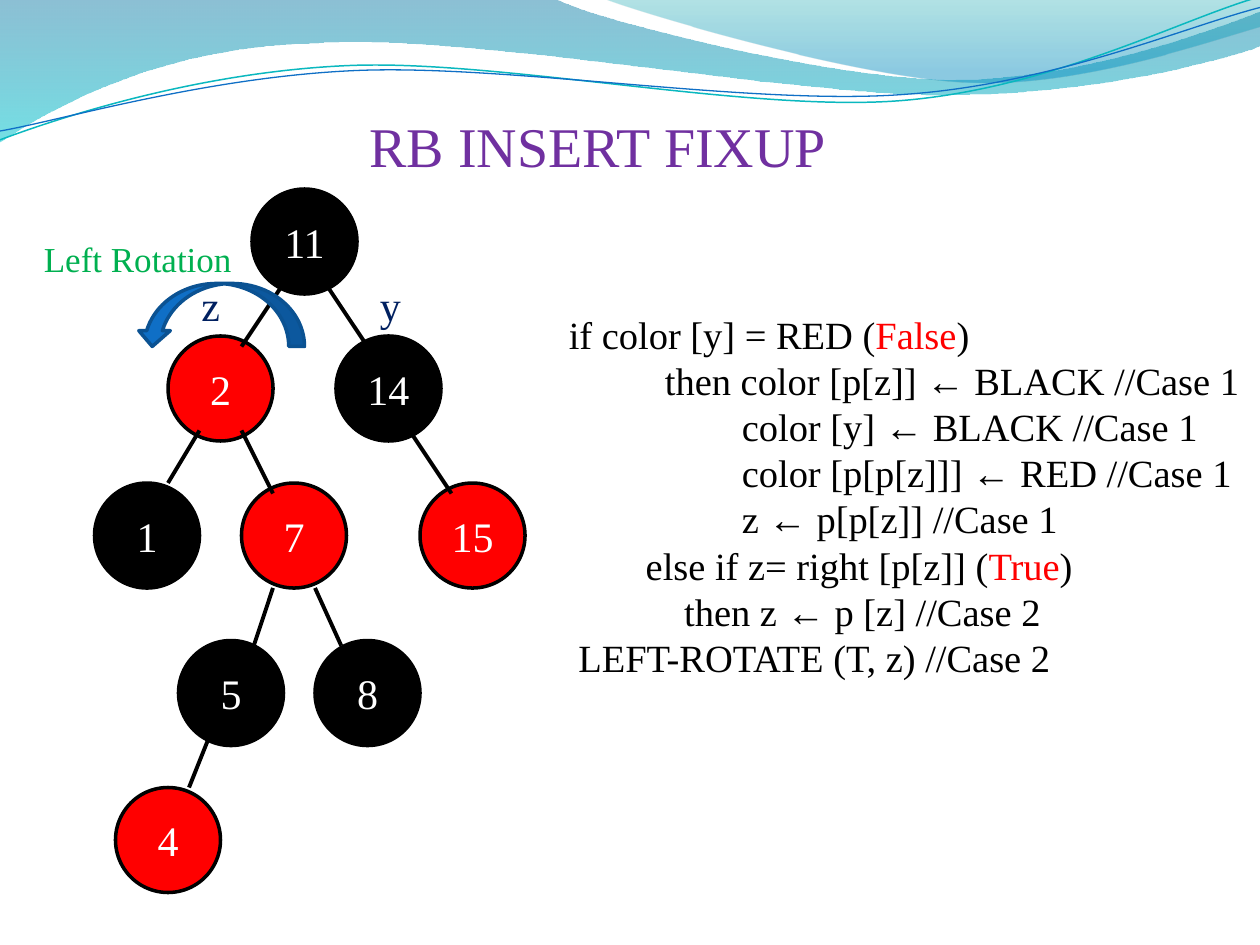
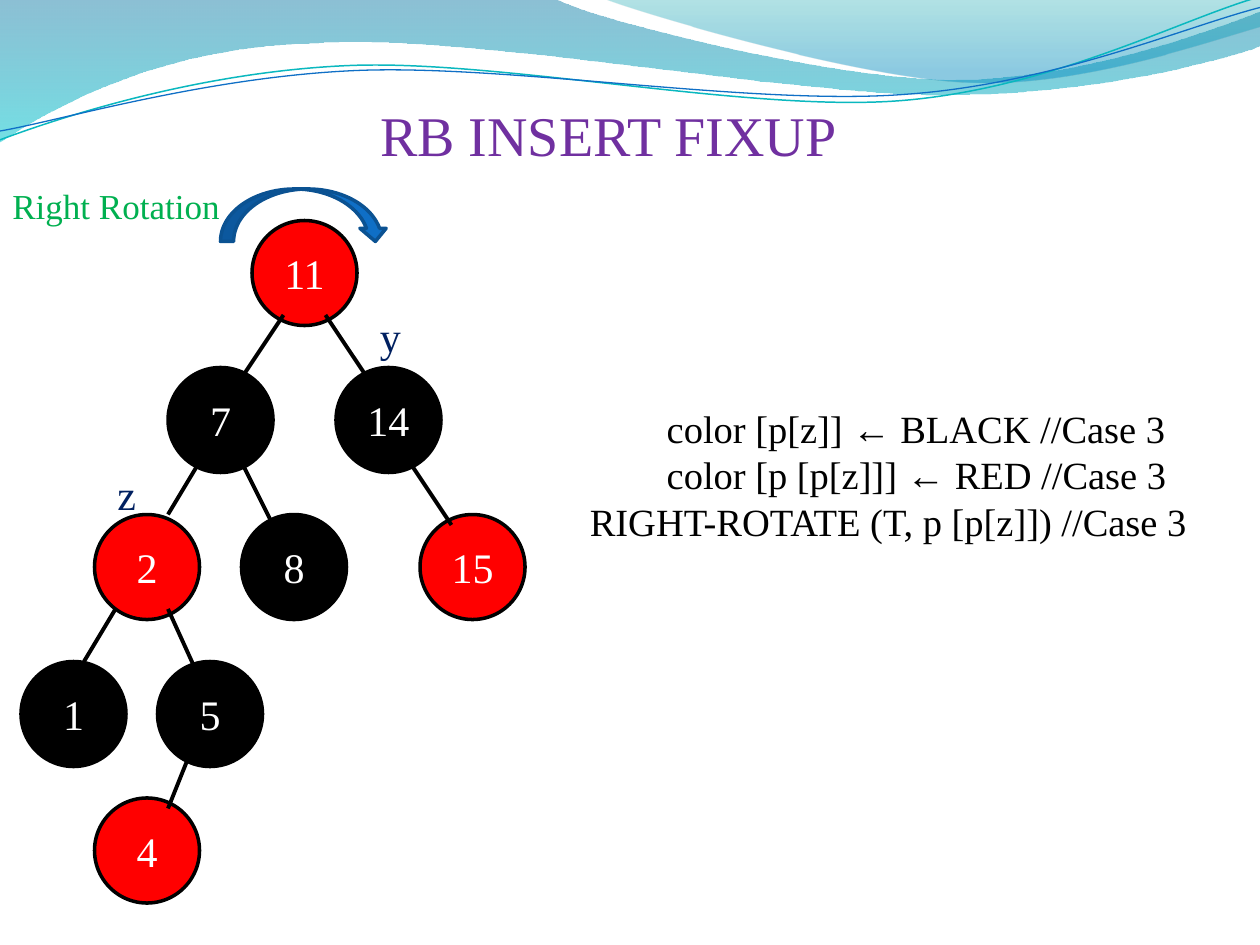
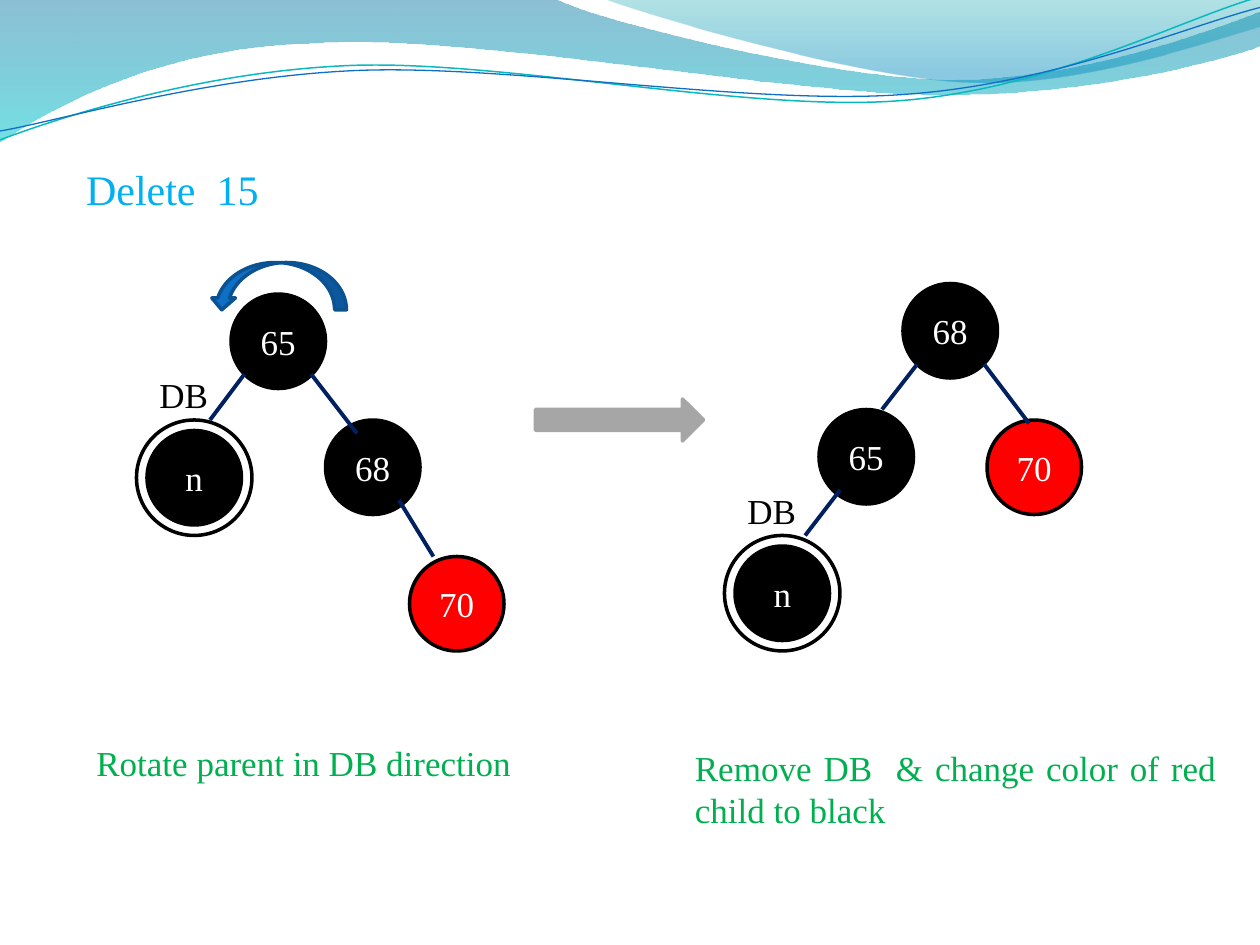
from math import cos, radians, sin
from lxml.etree import SubElement
from pptx import Presentation
from pptx.dml.color import RGBColor
from pptx.enum.shapes import MSO_CONNECTOR as Link, MSO_SHAPE as Kind
from pptx.enum.text import MSO_ANCHOR as Anchor, MSO_AUTO_SIZE as Fit, PP_ALIGN as Align
from pptx.oxml.ns import qn
from pptx.util import Inches, Pt

FACE = "Times New Roman"
BLACK, RED, WHITE, NAVY = "000000", "FF0000", "FFFFFF", "002060"
GREEN, PURPLE, SKY, GREY = "00B050", "7030A0", "00B0F0", "A6A6A6"
BLUE, DEEP, TEAL = "0F6FC6", "0B5292", "0AB8BF"
TILT = 2.7

BANDS = [
    ((0, 0), [(4.4, -0.01), (4.76, 0.17, 6.64, 0.63, 7.58, 0.63),
              (8.53, 0.63, 9.58, 0.26, 10, 0.09), (10.01, 0.36),
              (9.83, 0.44, 8.7, 0.76, 7.46, 0.75), (6.22, 0.75, 3.82, 0.28, 2.57, 0.34),
              (1.29, 0.36, 0.46, 0.83, -0.01, 1.13)],
     [(0, "0074A1", 45), (100, "00C6CF", 55)]),
    ((4.79, -0.01), [(5.09, 0.11, 6.82, 0.62, 7.69, 0.65),
                     (8.56, 0.69, 9.61, 0.32, 10, 0.21), (10, 0)],
     [(0, "00A1A9", 30), (80, "008BBF", 45)]),
]
WAVES = [
    ((0, 1.11), [(0.48, 0.93, 1.58, 0.57, 2.77, 0.52), (3.95, 0.47, 5.93, 0.89, 7.13, 0.8),
                 (8.33, 0.71, 9.38, 0.15, 9.98, -0.02)], (4.99, 0.58), TEAL, 0.85),
    ((0, 1.04), [(0.47, 0.96, 1.64, 0.61, 2.83, 0.56), (4.03, 0.51, 5.97, 0.84, 7.17, 0.75),
                 (8.36, 0.67, 9.41, 0.21, 10, 0.06)], (5, 0.59), BLUE, 0.75),
]

CROWN = [(2.58, 2.25, 2.92, 2.75), (2.25, 2.25, 1.92, 2.75), (3.25, 3.42, 3.58, 3.92),
         (1.58, 3.42, 1.33, 3.83), (1.92, 3.42, 2.17, 3.92)]

PAGES = [
    dict(
        title=("RB INSERT FIXUP", 2.83, 0.83, 3.86, 0.64, 32, PURPLE),
        size=0.83, points=24, ink=BLACK,
        rows=[(1.5, [("11", 2, BLACK)]),
              (2.67, [("2", 1.33, RED), ("14", 2.67, BLACK)]),
              (3.83, [("1", 0.75, BLACK), ("7", 1.92, RED), ("15", 3.33, RED)]),
              (5.08, [("5", 1.42, BLACK), ("8", 2.5, BLACK)]),
              (6.25, [("4", 0.92, RED)])],
        edges=CROWN + [(2.5, 4.67, 2.71, 5.12), (2.17, 4.67, 2, 5.17),
                       (1.67, 5.83, 1.5, 6.25)],
        labels=[("y", 2.92, 2.17, 0.37, 0.5, 24, NAVY), ("z", 1.5, 2.17, 0.36, 0.5, 24, NAVY),
                ("Left Rotation", 0.25, 1.83, 1.7, 0.44, 20, GREEN)],
        turn=(1.08, 2.25, 1.33, 0.5, True),
        code=(4.42, 2.42, 6, 4.17, [
            ("if color [y] = RED (", "False", ")"),
            ("          then color [p[z]] ← BLACK //Case 1",),
            ("                  color [y] ← BLACK //Case 1",),
            ("                  color [p[p[z]]] ← RED //Case 1",),
            ("                  z ← p[p[z]] //Case 1",),
            ("        else if z= right [p[z]] (", "True", ")"),
            ("            then z ← p [z] //Case 2",),
            (" LEFT-ROTATE (T, z) //Case 2",)]),
    ),
    dict(
        title=("RB INSERT FIXUP", 2.92, 0.75, 3.86, 0.64, 32, PURPLE),
        size=0.83, points=24, ink=BLACK,
        rows=[(1.75, [("11", 2, RED)]),
              (2.92, [("7", 1.33, BLACK), ("14", 2.67, BLACK)]),
              (4.08, [("2", 0.75, RED), ("8", 1.92, BLACK), ("15", 3.33, RED)]),
              (5.25, [("1", 0.17, BLACK), ("5", 1.25, BLACK)]),
              (6.33, [("4", 0.75, RED)])],
        edges=[(a, b + 0.25, c, d + 0.25) for a, b, c, d in CROWN] + [
            (1.33, 4.83, 1.54, 5.29), (0.92, 4.83, 0.67, 5.25), (1.5, 6, 1.33, 6.42)],
        labels=[("y", 2.92, 2.42, 0.37, 0.5, 24, NAVY), ("z", 0.83, 3.67, 0.36, 0.5, 24, NAVY),
                ("Right Rotation", 0, 1.42, 1.86, 0.44, 20, GREEN)],
        turn=(1.75, 1.5, 1.33, 0.42, False),
        code=(4.58, 3.17, 6, 2.69, [
            ("        color [p[z]] ← BLACK //Case 3",),
            ("        color [p [p[z]]] ← RED //Case 3",),
            ("RIGHT-ROTATE (T, p [p[z]]) //Case 3",)]),
    ),
    dict(
        title=("Delete  15", 0.58, 1.25, 1.58, 0.5, 24, SKY),
        size=0.75, points=20, ink=NAVY,
        rings=[(1.08, 3.33), (5.75, 4.25)],
        rows=[(2.25, [("68", 7.17, BLACK)]),
              (2.33, [("65", 1.83, BLACK)]),
              (3.25, [("65", 6.5, BLACK)]),
              (3.33, [("68", 2.58, BLACK), ("70", 7.83, RED)]),
              (3.42, [("n", 1.17, BLACK)]),
              (4.33, [("n", 5.83, BLACK)]),
              (4.42, [("70", 3.25, RED)])],
        edges=[(2.47, 2.97, 2.83, 3.44), (3.17, 3.97, 3.44, 4.42), (1.94, 2.97, 1.67, 3.33),
               (7.81, 2.89, 8.17, 3.36), (7.28, 2.89, 7, 3.25), (6.67, 3.89, 6.39, 4.25)],
        labels=[("DB", 1.17, 2.92, 0.59, 0.44, 20, BLACK),
                ("DB", 5.83, 3.83, 0.59, 0.44, 20, BLACK)],
        turn=(1.67, 2.08, 1.08, 0.38, True),
        step=(4.25, 3.17, 1.33, 0.33),
        notes=[("Rotate parent in DB direction", 0.67, 5.83, 3.5, 0.44, 20, GREEN),
               ("Remove DB  & change color of red child to black",
                5.42, 5.88, 4.33, 0.77, 20, GREEN)],
    ),
]


def rgb(code):
    return RGBColor.from_string(code)


def snap(value):
    near = round(value * 24) / 24
    return Inches(near if abs(near - value) < 0.0055 else value)


def style(para, size, color):
    font = para.font
    font.name, font.size, font.bold = FACE, Pt(size), False
    font.color.rgb = rgb(color)


def write(shape, text, size, color, align=Align.LEFT, wrap=False, anchor=Anchor.TOP):
    frame = shape.text_frame
    frame.text = text
    frame.word_wrap = wrap
    frame.auto_size = Fit.NONE
    frame.vertical_anchor = anchor
    para = frame.paragraphs[0]
    para.alignment = align
    style(para, size, color)


def label(slide, text, x, y, w, h, size, color, **look):
    box = slide.shapes.add_textbox(*map(snap, (x, y, w, h)))
    write(box, text, size, color, **look)


def head(slide, text, x, y, w, h, size, color):
    shape = slide.shapes.title
    shape.left, shape.top, shape.width, shape.height = map(snap, (x, y, w, h))
    write(shape, text, size, color)


def draw(slide, kind, x, y, w, h, fill, line):
    shape = slide.shapes.add_shape(kind, *map(snap, (x, y, w, h)))
    shape.shadow.inherit = False
    shape.fill.solid()
    shape.fill.fore_color.rgb = rgb(fill)
    shape.line.color.rgb = rgb(line)
    shape.line.width = Pt(2)
    return shape


def edge(slide, ends, color):
    link = slide.shapes.add_connector(Link.STRAIGHT, *map(snap, ends))
    link.line.color.rgb = rgb(color)
    link.line.width = Pt(2.25)
    SubElement(link.element.spPr, qn("a:effectLst"))


def level(dot, hub):
    x, y = dot[0] - hub[0], dot[1] - hub[1]
    turn = radians(TILT)
    return hub[0] + x * cos(turn) - y * sin(turn), hub[1] + x * sin(turn) + y * cos(turn)


def outline(slide, start, parts, hub=None):
    dots = [start] + [part[i:i + 2] for part in parts for i in range(0, len(part), 2)]
    if hub:
        dots = [level(dot, hub) for dot in dots]
    dots = [tuple(map(Inches, dot)) for dot in dots]
    pen = slide.shapes.build_freeform(*dots[0])
    pen.add_line_segments(dots[1:], close=hub is None)
    shape = pen.convert_to_shape()
    shape.shadow.inherit = False
    route = next(shape.element.iter(qn("a:path")))
    legs = route.findall(qn("a:lnTo"))
    for part in parts:
        count = len(part) // 2
        used, legs = legs[:count], legs[count:]
        if count == 3:
            curve = SubElement(route, qn("a:cubicBezTo"))
            used[0].addprevious(curve)
            for leg in used:
                curve.append(leg[0])
                route.remove(leg)
    return shape


def shade(shape, stops):
    shape.fill.gradient()
    shape.fill.gradient_angle = 270
    for stop, (place, color, alpha) in zip(shape.fill.gradient_stops, stops):
        stop.position = place / 100
        stop.color.rgb = rgb(color)
    tints = shape.element.spPr.iter(qn("a:srgbClr"))
    for tint, (place, color, alpha) in zip(tints, stops):
        SubElement(tint, qn("a:alpha"), val=str(alpha * 1000))
    shape.line.fill.background()


def adorn(deck, slide):
    shapes = []
    for start, parts, stops in BANDS:
        shape = outline(slide, start, parts)
        shade(shape, stops)
        shapes.append(shape)
    for start, parts, hub, color, width in WAVES:
        shape = outline(slide, start, parts, hub)
        shape.rotation = 360 - TILT
        shape.fill.background()
        shape.line.color.rgb = rgb(color)
        shape.line.width = Pt(width)
        shapes.append(shape)
    for i, shape in enumerate(shapes):
        deck.slide_master.shapes.element.insert(2 + i, shape.element)


def list_code(slide, x, y, w, h, lines):
    box = slide.shapes.add_textbox(*map(snap, (x, y, w, h)))
    frame = box.text_frame
    frame.word_wrap = True
    for i, line in enumerate(lines):
        para = frame.add_paragraph() if i else frame.paragraphs[0]
        for j, text in enumerate(line):
            run = para.add_run()
            run.text = text
            if j % 2:
                run.font.color.rgb = rgb(RED)
        style(para, 22, BLACK)


def build(slide, page):
    head(slide, *page["title"])
    for x, y in page.get("rings", []):
        draw(slide, Kind.OVAL, x, y, 0.92, 0.92, WHITE, BLACK)
    size = page["size"]
    for y, row in page["rows"]:
        for text, x, fill in row:
            node = draw(slide, Kind.OVAL, x, y, size, size, fill, BLACK)
            write(node, text, page["points"], WHITE, Align.CENTER, True, Anchor.MIDDLE)
    for ends in page["edges"]:
        edge(slide, ends, page["ink"])
    for item in page["labels"]:
        label(slide, *item)
    *area, flip = page["turn"]
    turn = draw(slide, Kind.CURVED_DOWN_ARROW, *area, BLUE, DEEP)
    if flip:
        turn.element.spPr.find(qn("a:xfrm")).set("flipH", "1")
    if "step" in page:
        draw(slide, Kind.RIGHT_ARROW, *page["step"], GREY, GREY)
    if "code" in page:
        list_code(slide, *page["code"])
    for note in page.get("notes", []):
        label(slide, *note, align=Align.JUSTIFY, wrap=True)


def main():
    deck = Presentation()
    deck.slide_width, deck.slide_height = Inches(10), Inches(7.5)
    for i, page in enumerate(PAGES):
        slide = deck.slides.add_slide(deck.slide_layouts[5])
        if i == 0:
            adorn(deck, slide)
        build(slide, page)
    deck.save("out.pptx")


if __name__ == "__main__":
    main()
